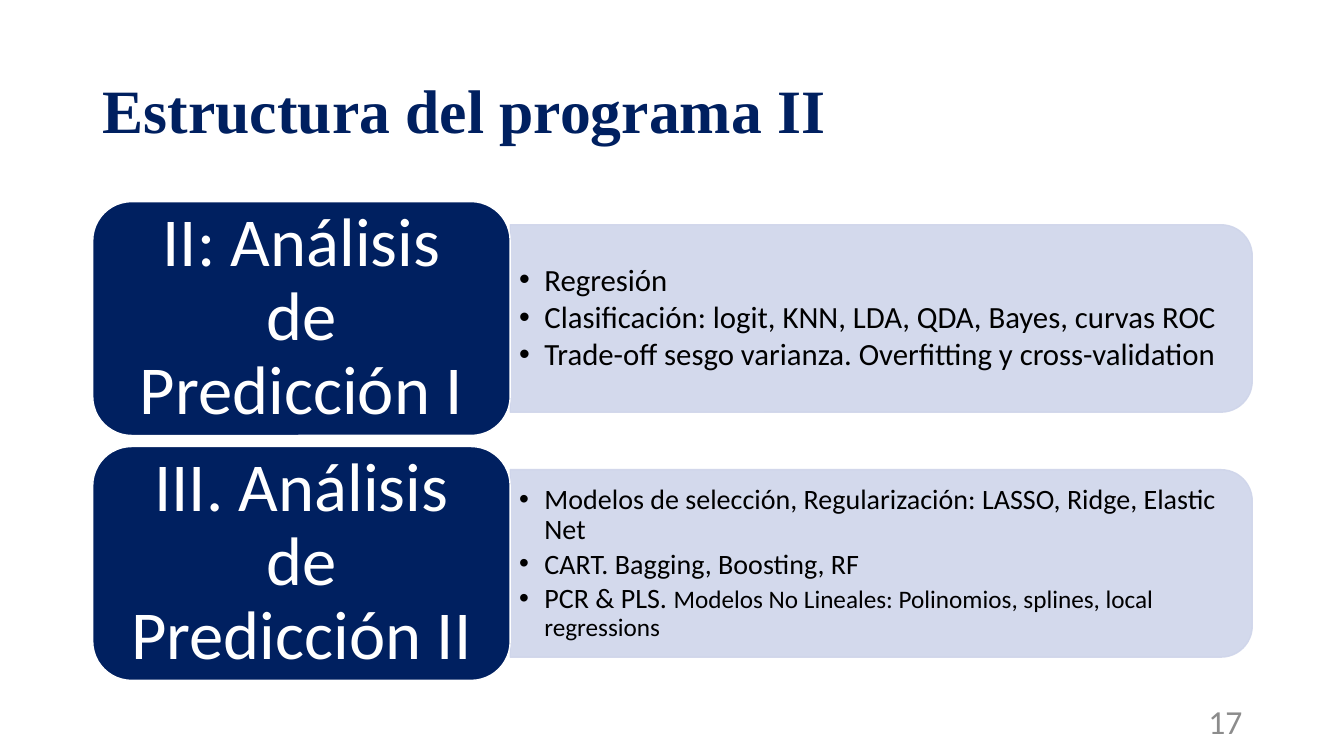
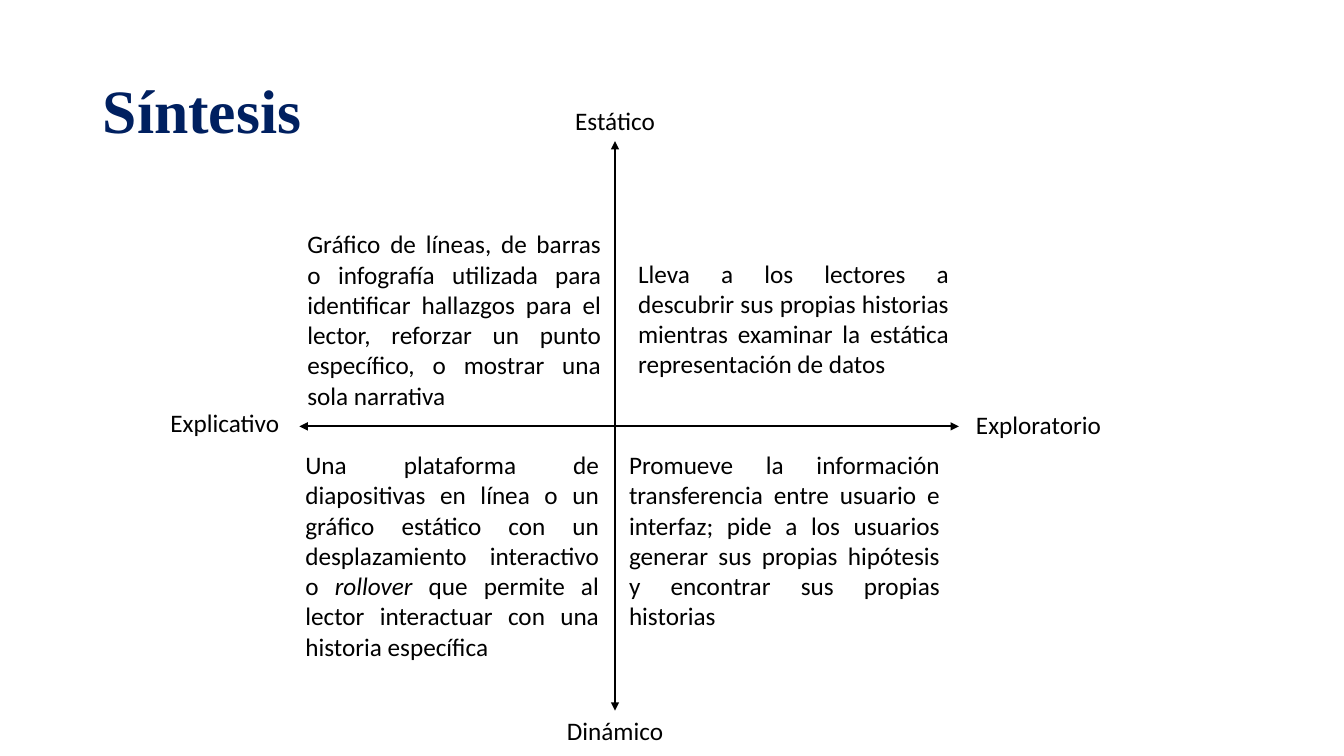
from pptx import Presentation
from pptx.dml.color import RGBColor
from pptx.enum.dml import MSO_LINE
from pptx.enum.shapes import MSO_CONNECTOR, MSO_SHAPE
from pptx.enum.text import MSO_ANCHOR, MSO_AUTO_SIZE, PP_ALIGN
from pptx.oxml.ns import qn
from pptx.util import Inches, Pt
from lxml.etree import SubElement

COLORS = {
    "navy": "002060",
    "pale": "CFD5EA",
    "white": "FFFFFF",
    "black": "000000",
    "gray": "8C8C8C",
}
HUES = {name: RGBColor.from_string(code) for name, code in COLORS.items()}

deck = Presentation()
deck.slide_width, deck.slide_height = Inches(13.33), Inches(7.5)


def add_slide(name):
    """Add a slide with the shared title style."""
    slide = deck.slides.add_slide(deck.slide_layouts[5])
    title = slide.shapes.title
    title.left, title.top = Inches(0.92), Inches(0.4)
    title.width, title.height = Inches(11.5), Inches(1.45)
    frame = title.text_frame
    frame.text = name
    frame.vertical_anchor = MSO_ANCHOR.MIDDLE
    para = frame.paragraphs[0]
    para.alignment, para.line_spacing = PP_ALIGN.LEFT, 0.9
    font = para.runs[0].font
    font.name, font.size, font.bold = "Times New Roman", Pt(44), True
    font.color.rgb = HUES["navy"]
    return slide


def add_text(slide, box, parts, size=18, hue="black", align=PP_ALIGN.LEFT):
    """Add a wrapped text box; parts are the runs of its first paragraph."""
    shape = slide.shapes.add_textbox(*[Inches(n) for n in box])
    frame = shape.text_frame
    frame.word_wrap = True
    para = frame.paragraphs[0]
    para.alignment = align
    for part in parts:
        run = para.add_run()
        run.text = part
        run.font.name, run.font.size = "Calibri", Pt(size)
        run.font.color.rgb = HUES[hue]
    return shape


# Slide 1: programme blocks
slide = add_slide("Estructura del programa II")
LEFT, TOP, STEP = 0.92, 2, 2.43
WIDE, HIGH = 4.14, 2.32
LONG, THICK = 7.36, 1.86
blocks = [
    ("II: Análisis de Predicción I", 22, [
        [("Regresión", 22)],
        [("Clasificación: logit, KNN, LDA, QDA, Bayes, curvas ROC", 22)],
        [("Trade-off sesgo varianza. Overfitting y cross-validation", 22)],
    ]),
    ("III. Análisis de Predicción II", 20, [
        [("Modelos de selección, Regularización: LASSO, Ridge, Elastic Net", 20)],
        [("CART. Bagging, Boosting, RF", 20)],
        [("PCR & PLS. ", 20),
         ("Modelos No Lineales: Polinomios, splines, local regressions", 18)],
    ]),
]
for row, (name, size, items) in enumerate(blocks):
    top = TOP + row * STEP
    edge = LEFT + WIDE

    # Pale panel, turned so that its round corners face right
    panel = slide.shapes.add_shape(
        MSO_SHAPE.ROUND_2_SAME_RECTANGLE,
        Inches(edge + (LONG - THICK) / 2), Inches(top + (HIGH - LONG) / 2),
        Inches(THICK), Inches(LONG))
    panel.rotation = 90
    panel.shadow.inherit = False
    panel.fill.solid()
    panel.fill.fore_color.rgb = HUES["pale"]
    panel.line.color.rgb = HUES["pale"]
    panel.line.width = Pt(1)
    for color in panel._element.spPr.iter(qn("a:srgbClr")):
        SubElement(color, qn("a:alpha"), val="90000")

    # Bulleted topics
    topics = add_text(slide, (edge, top + 0.32, 7.27, 1.68), [])
    frame = topics.text_frame
    frame.vertical_anchor = MSO_ANCHOR.MIDDLE
    frame.margin_left = frame.margin_right = Inches(0.09)
    for spot, parts in enumerate(items):
        para = frame.add_paragraph() if spot else frame.paragraphs[0]
        para.line_spacing, para.space_after = 0.9, Pt(3)
        props = para._p.get_or_add_pPr()
        props.set("marL", str(Inches(0.25)))
        props.set("indent", str(-Inches(0.25)))
        SubElement(props, qn("a:buFont"), typeface="Arial")
        SubElement(props, qn("a:buChar"), char="•")
        for words, points in parts:
            run = para.add_run()
            run.text = words
            run.font.name, run.font.size = "Calibri", Pt(points)
            run.font.color.rgb = HUES["black"]

    # Navy label
    label = slide.shapes.add_shape(
        MSO_SHAPE.ROUNDED_RECTANGLE,
        Inches(LEFT), Inches(top), Inches(WIDE), Inches(HIGH))
    label.shadow.inherit = False
    label.fill.solid()
    label.fill.fore_color.rgb = HUES["navy"]
    label.line.color.rgb = HUES["white"]
    label.line.width = Pt(1)
    frame = label.text_frame
    frame.text = name
    frame.word_wrap = True
    frame.vertical_anchor = MSO_ANCHOR.MIDDLE
    frame.margin_left = frame.margin_right = Inches(0.2)
    frame.margin_top = frame.margin_bottom = Inches(0.1)
    para = frame.paragraphs[0]
    para.alignment, para.line_spacing = PP_ALIGN.CENTER, 0.9
    font = para.runs[0].font
    font.name, font.size = "Calibri", Pt(49)
    font.color.rgb = HUES["white"]

# Page number
page = add_text(slide, (9.42, 6.95, 3, 0.4), ["17"], 24, "gray", PP_ALIGN.RIGHT)
page.text_frame.vertical_anchor = MSO_ANCHOR.MIDDLE

# Slide 2: quadrants
slide = add_slide("Síntesis")

# Axis ends
ends = {}
for name, left, top in [
    ("Estático", 5.17, 1),
    ("Dinámico", 5.17, 7.05),
    ("Explicativo", 1.3, 3.99),
    ("Exploratorio", 9.37, 4.01),
]:
    ends[name] = add_text(slide, (left, top, 1.86, 0.4), [name],
                          align=PP_ALIGN.CENTER)

# Axes with arrowheads at both ends
axes = [
    slide.shapes.add_connector(MSO_CONNECTOR.STRAIGHT,
                               *[Inches(n) for n in line])
    for line in [(6.1, 1.4, 6.1, 7.05), (2.97, 4.23, 9.51, 4.23)]
]
axes[0].begin_connect(ends["Estático"], 2)
axes[0].end_connect(ends["Dinámico"], 0)
for axis in axes:
    axis.line.color.rgb = HUES["black"]
    axis.line.width = Pt(1.5)
    axis.line.dash_style = MSO_LINE.SOLID
    stroke = axis.line._get_or_add_ln()
    for tip in ("a:headEnd", "a:tailEnd"):
        SubElement(stroke, qn(tip), type="triangle")
    SubElement(axis._element.spPr, qn("a:effectLst"))

# Quadrant texts
for box, parts in [
    ((2.95, 2.22, 3.11, 1.92), [
        "Gráfico de líneas, de barras o infografía utilizada para identificar "
        "hallazgos para el lector, reforzar un punto específico, o mostrar "
        "una sola narrativa"]),
    ((6.23, 2.51, 3.28, 1.31), [
        "Lleva a los lectores a descubrir sus propias historias mientras "
        "examinar la estática representación de datos"]),
    ((2.93, 4.41, 3.11, 2.22), [
        "Una plataforma de diapositivas en línea o un gráfico estático con un "
        "desplazamiento interactivo o ",
        "rollover",
        " que permite al lector interactuar con una historia específica"]),
    ((6.14, 4.41, 3.28, 1.62), [
        "Promueve la información transferencia entre usuario e interfaz; pide "
        "a los usuarios generar sus propias hipótesis y encontrar sus propias "
        "historias"]),
]:
    note = add_text(slide, box, parts, align=PP_ALIGN.JUSTIFY)
    note.text_frame.auto_size = MSO_AUTO_SIZE.SHAPE_TO_FIT_TEXT
    for run in note.text_frame.paragraphs[0].runs:
        if run.text == "rollover":
            run.font.italic = True

deck.save("out.pptx")
